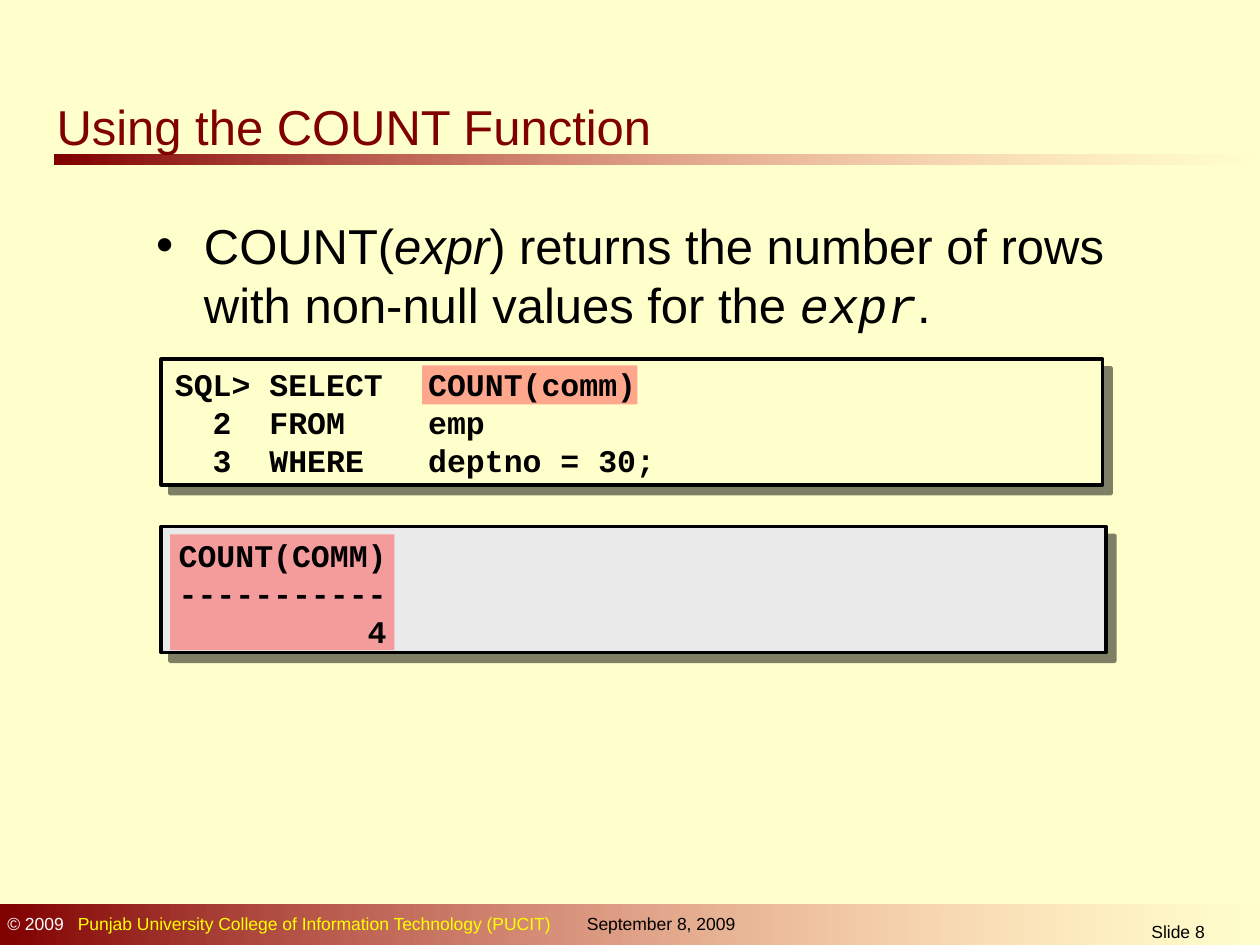
from dataclasses import dataclass

from lxml import etree
from pptx import Presentation
from pptx.dml.color import RGBColor
from pptx.enum.shapes import MSO_SHAPE
from pptx.enum.text import MSO_ANCHOR, PP_ALIGN
from pptx.oxml.ns import qn
from pptx.util import Inches, Pt

RECT = MSO_SHAPE.RECTANGLE
TOP, MIDDLE = MSO_ANCHOR.TOP, MSO_ANCHOR.MIDDLE
LEFT, CENTER = PP_ALIGN.LEFT, PP_ALIGN.CENTER


@dataclass(frozen=True)
class Theme:
    cream: str = "FFFFCC"
    maroon: str = "800000"
    rose: str = "FF8585"
    red: str = "FF5050"
    gray: str = "EAEAEA"
    black: str = "000000"
    white: str = "FFFFFF"
    yellow: str = "FFFF00"
    sans: str = "Arial"
    mono: str = "Courier New"
    large: float = 28
    code: float = 18
    pitch: float = 21.7
    small: float = 10


THEME = Theme()


@dataclass(frozen=True)
class Box:
    left: float
    top: float
    width: float
    height: float

    def place(self) -> tuple:
        return tuple(map(Inches, (self.left, self.top, self.width, self.height)))


@dataclass(frozen=True)
class Run:
    text: str
    color: str = ""
    italic: bool = False
    face: str = ""


@dataclass(frozen=True)
class Panel:
    frame: Box
    fill: str
    mark: Box
    text: Box
    anchor: MSO_ANCHOR
    lines: tuple
    tab: float = 0


BARS = (Box(0.43, 1.23, 9.57, 0.08), Box(0, 7.18, 10.03, 0.35))

PANELS = (
    Panel(Box(1.28, 2.85, 7.47, 1), THEME.cream, Box(3.35, 2.9, 1.71, 0.31),
          Box(1.29, 2.83, 7.5, 1.03), MIDDLE,
          ("SQL> SELECT\tCOUNT(comm)", "  2  FROM\temp", "  3  WHERE\tdeptno = 30;"),
          2.01),
    Panel(Box(1.28, 4.18, 7.5, 1), THEME.gray, Box(1.35, 4.24, 1.78, 0.92),
          Box(1.32, 4.2, 7.47, 1), TOP,
          ("COUNT(COMM)", "-" * 11, "4".rjust(11))),
)


def rgb(color: str) -> RGBColor:
    return RGBColor.from_string(color)


def add_child(node, tag: str, **attrs):
    return etree.SubElement(node, qn(tag), {key: str(val) for key, val in attrs.items()})


def fade(node, percent: int) -> None:
    """Set the opacity of the colour inside a fill or gradient stop."""
    add_child(node.find(".//" + qn("a:srgbClr")), "a:alpha", val=percent * 1000)


def add_rect(slide, box: Box):
    shape = slide.shapes.add_shape(RECT, *box.place())
    shape.shadow.inherit = False
    shape.line.fill.background()
    return shape


def add_bar(slide, box: Box) -> None:
    fill = add_rect(slide, box).fill
    fill.gradient()
    fill.gradient_angle = 0
    for stop, color in zip(fill.gradient_stops, (THEME.maroon, THEME.rose)):
        stop.color.rgb = rgb(color)
    stops = slide.shapes[-1].element.spPr.findall(".//" + qn("a:gs"))
    fade(stops[-1], 0)


def add_frame(slide, panel: Panel) -> None:
    """Draw an outlined panel with a soft black drop shadow."""
    shape = add_rect(slide, panel.frame)
    shape.fill.solid()
    shape.fill.fore_color.rgb = rgb(panel.fill)
    shape.line.color.rgb = rgb(THEME.black)
    shape.line.width = Pt(2)
    effects = shape.element.spPr.find(qn("a:effectLst"))
    shadow = add_child(effects, "a:outerShdw", dist=Pt(7.1), dir=45 * 60000,
                       algn="ctr", rotWithShape=0)
    add_child(shadow, "a:srgbClr", val=THEME.black)
    fade(shadow, 50)


def add_mark(slide, box: Box) -> None:
    shape = add_rect(slide, box)
    shape.fill.solid()
    shape.fill.fore_color.rgb = rgb(THEME.red)
    fade(shape.element.spPr.find(qn("a:solidFill")), 50)


def add_tab(para, stop: float) -> None:
    tabs = add_child(para._p.get_or_add_pPr(), "a:tabLst")
    add_child(tabs, "a:tab", pos=Inches(stop), algn="l")


def add_bullet(para, indent: float) -> None:
    props = para._p.get_or_add_pPr()
    props.set("marL", str(Inches(indent)))
    props.set("indent", str(-Inches(indent)))
    add_child(add_child(props, "a:buClr"), "a:srgbClr", val=THEME.black)
    add_child(props, "a:buFont", typeface=THEME.sans)
    add_child(props, "a:buChar", char="•")


def add_text(slide, box: Box, lines: tuple, size: float, color: str = THEME.black,
             face: str = THEME.sans, bold: bool = False, align: PP_ALIGN = LEFT,
             anchor: MSO_ANCHOR = TOP, wrap: bool = True, tab: float = 0,
             bullet: float = 0, pitch: float = 0) -> None:
    """Write lines, each a tuple of runs, in one text box."""
    frame = slide.shapes.add_textbox(*box.place()).text_frame
    frame.word_wrap = wrap
    frame.vertical_anchor = anchor
    for index, line in enumerate(lines):
        para = frame.add_paragraph() if index else frame.paragraphs[0]
        if bullet:
            add_bullet(para, bullet)
        if tab:
            add_tab(para, tab)
        para.alignment = align
        if pitch:
            para.line_spacing = Pt(pitch)
        font = para.font
        font.name, font.size, font.bold = face, Pt(size), bold
        font.color.rgb = rgb(color)
        for item in line:
            run = para.add_run()
            run.text = item.text
            if item.color:
                run.font.color.rgb = rgb(item.color)
            if item.italic:
                run.font.italic = True
            if item.face:
                run.font.name = item.face


def main() -> None:
    deck = Presentation()
    deck.slide_width, deck.slide_height = Inches(10), Inches(7.5)
    slide = deck.slides.add_slide(deck.slide_layouts[6])
    slide.background.fill.solid()
    slide.background.fill.fore_color.rgb = rgb(THEME.cream)

    for bar in BARS:
        add_bar(slide, bar)
    add_text(slide, Box(-0.04, 7.2, 6.46, 0.27),
             ((Run("© 2009", THEME.white),
               Run("\tPunjab University College of Information Technology (PUCIT)",
                   THEME.yellow)),), THEME.small, tab=0.56)
    add_text(slide, Box(4.56, 7.2, 1.54, 0.27), ((Run("September 8, 2009"),),), THEME.small)
    add_text(slide, Box(8.31, 7.26, 2.08, 0.24), ((Run("Slide 8"),),), THEME.small,
             align=CENTER)

    add_text(slide, Box(0.35, 0.72, 5.39, 0.51), ((Run("Using the COUNT Function"),),),
             THEME.large, THEME.maroon)
    add_text(slide, Box(1.14, 1.66, 8.08, 1.04),
             ((Run("COUNT("), Run("expr", italic=True),
               Run(") returns the number of rows with non-null values for the "),
               Run("expr", italic=True, face=THEME.mono), Run(".")),),
             THEME.large, bullet=0.38)

    for panel in PANELS:
        add_frame(slide, panel)
        add_mark(slide, panel.mark)
        add_text(slide, panel.text, tuple((Run(line),) for line in panel.lines),
                 THEME.code, face=THEME.mono, bold=True, anchor=panel.anchor,
                 wrap=panel.anchor == TOP, tab=panel.tab, pitch=THEME.pitch)

    deck.save("out.pptx")


if __name__ == "__main__":
    main()
